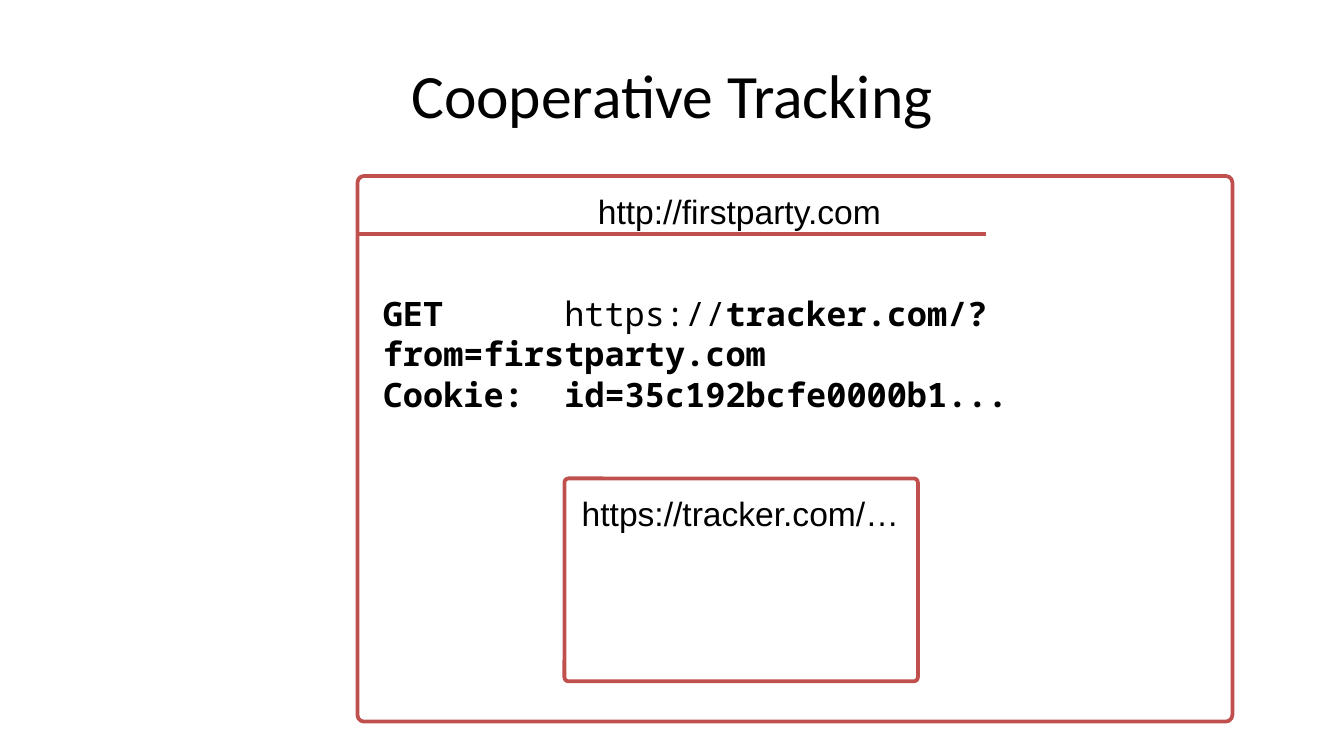
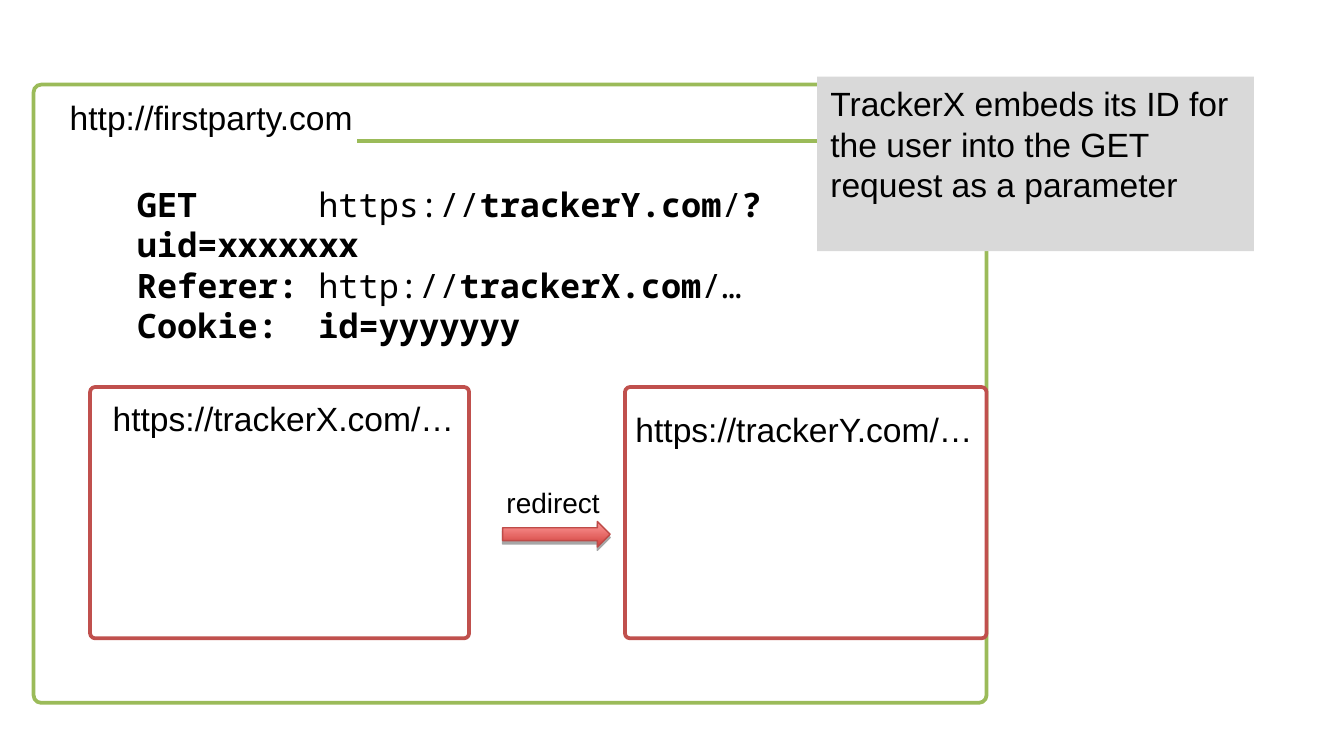
from dataclasses import dataclass

from lxml.etree import SubElement
from pptx import Presentation
from pptx.dml.color import RGBColor
from pptx.enum.shapes import MSO_CONNECTOR, MSO_SHAPE
from pptx.enum.text import MSO_ANCHOR, PP_ALIGN
from pptx.oxml.ns import qn
from pptx.util import Inches, Pt


@dataclass(frozen=True)
class Theme:
    text: str = "000000"
    paper: str = "FFFFFF"
    red: str = "C0504D"
    green: str = "9BBB59"
    callout: str = "D9D9D9"
    arrow_dark: str = "D1403C"
    arrow_light: str = "FF9A99"
    arrow_line: str = "BE4B48"
    title_font: str = "Calibri"
    body_font: str = "Arial"
    code_font: str = "Noto Sans Mono"
    title_size: float = 33
    body_size: float = 18
    small_size: float = 15
    leading: float = 1.2
    outline: float = 2
    header_tab: float = 1.35


THEME = Theme()
TITLE_ONLY, BLANK = 5, 6


def color(value):
    return RGBColor.from_string(value)


# Text
def write_text(shape, paragraphs, font=THEME.body_font, size=THEME.body_size,
               align=PP_ALIGN.LEFT, anchor=MSO_ANCHOR.TOP, wrap=True,
               leading=THEME.leading, tab=None):
    """Fill a shape; each paragraph is a list of (text, bold) runs."""
    frame = shape.text_frame
    frame.word_wrap = wrap
    frame.vertical_anchor = anchor
    for index, runs in enumerate(paragraphs):
        paragraph = frame.add_paragraph() if index else frame.paragraphs[0]
        paragraph.alignment = align
        if leading:
            paragraph.line_spacing = Pt(size * leading)
        if tab:
            tab_list = SubElement(paragraph._p.get_or_add_pPr(), qn("a:tabLst"))
            SubElement(tab_list, qn("a:tab"), pos=str(Inches(tab)), algn="l")
        for text, bold in runs:
            run = paragraph.add_run()
            run.text = text
            run.font.name = font
            run.font.size = Pt(size)
            run.font.bold = bold
            run.font.color.rgb = color(THEME.text)


def add_title(slide, text):
    title = slide.shapes.title
    title.left, title.top = Inches(0.5), Inches(0.23)
    title.width, title.height = Inches(9), Inches(0.94)
    write_text(title, [[(text, False)]], font=THEME.title_font,
               size=THEME.title_size, align=PP_ALIGN.CENTER,
               anchor=MSO_ANCHOR.MIDDLE, leading=None)


def add_label(slide, text, left, top, width, height=0.4, **text_format):
    label = slide.shapes.add_textbox(
        Inches(left), Inches(top), Inches(width), Inches(height))
    write_text(label, [[(text, False)]], wrap=False, **text_format)


def add_request(slide, headers, left, top, width):
    """Show HTTP headers, with their values lined up at a tab stop."""
    request = slide.shapes.add_textbox(
        Inches(left), Inches(top), Inches(width), Inches(0.94))
    paragraphs = [[(name + "\t", True), *value] for name, value in headers]
    write_text(request, paragraphs, font=THEME.code_font,
               anchor=MSO_ANCHOR.MIDDLE, tab=THEME.header_tab)


# Shapes
def add_shape(slide, kind, left, top, width, height):
    shape = slide.shapes.add_shape(
        kind, Inches(left), Inches(top), Inches(width), Inches(height))
    shape.shadow.inherit = False
    return shape


def add_frame(slide, left, top, width, height, line, corner=0.02):
    frame = add_shape(slide, MSO_SHAPE.ROUNDED_RECTANGLE, left, top, width, height)
    frame.adjustments[0] = corner
    frame.fill.solid()
    frame.fill.fore_color.rgb = color(THEME.paper)
    frame.line.color.rgb = color(line)
    frame.line.width = Pt(THEME.outline)


def add_address_line(slide, top, line):
    connector = slide.shapes.add_connector(
        MSO_CONNECTOR.STRAIGHT, Inches(2.66), Inches(top), Inches(7.34), Inches(top))
    connector.line.color.rgb = color(line)
    connector.line.width = Pt(THEME.outline)
    SubElement(connector._element.spPr, qn("a:effectLst"))


def add_redirect_arrow(slide, left, top, width, height):
    arrow = add_shape(slide, MSO_SHAPE.RIGHT_ARROW, left, top, width, height)
    arrow.fill.gradient()
    arrow.fill.gradient_angle = 90
    for stop, shade in zip(arrow.fill.gradient_stops,
                           (THEME.arrow_dark, THEME.arrow_light)):
        stop.color.rgb = color(shade)
    arrow.line.color.rgb = color(THEME.arrow_line)
    arrow.line.width = Pt(0.75)
    # Soft drop shadow straight below
    effects = arrow._element.spPr.find(qn("a:effectLst"))
    shadow = SubElement(effects, qn("a:outerShdw"), blurRad="0",
                        dist=str(Pt(1.8)), dir="5400000", rotWithShape="0")
    shade = SubElement(shadow, qn("a:srgbClr"), val=THEME.text)
    SubElement(shade, qn("a:alpha"), val="35000")


def add_callout(slide, text, left, top, width, height):
    callout = add_shape(slide, MSO_SHAPE.RECTANGLE, left, top, width, height)
    callout.fill.solid()
    callout.fill.fore_color.rgb = color(THEME.callout)
    callout.line.fill.background()
    write_text(callout, [[(text, False)]])


# Slides
def build_cooperative_tracking(presentation):
    slide = presentation.slides.add_slide(presentation.slide_layouts[TITLE_ONLY])
    add_title(slide, "Cooperative Tracking")

    # First-party page with the tracker's frame
    add_frame(slide, 2.66, 1.31, 6.51, 4.06, THEME.red, corner=0.012)
    add_frame(slide, 4.2, 3.56, 2.63, 1.51, THEME.red)
    add_label(slide, "http://firstparty.com", 4.35, 1.37, 2.32)
    add_address_line(slide, 1.74, THEME.red)
    add_label(slide, "https://tracker.com/…", 4.23, 3.62, 2.57)

    add_request(slide, [
        ("GET", [("https://", False), ("tracker.com/?from=firstparty.com", True)]),
        ("Cookie:", [("id=35c192bcfe0000b1...", True)]),
    ], 2.75, 2.16, 6.01)


def build_redirect(presentation):
    slide = presentation.slides.add_slide(presentation.slide_layouts[BLANK])

    # First-party page
    add_frame(slide, 0.25, 0.63, 7.09, 4.6, THEME.green, corner=0.012)
    add_label(slide, "http://firstparty.com", 0.42, 0.67, 2.32)
    add_address_line(slide, 1.05, THEME.green)

    # The two tracker frames and the redirect between them
    add_frame(slide, 0.67, 2.88, 2.82, 1.87, THEME.red)
    add_label(slide, "https://trackerX.com/…", 0.74, 2.91, 2.74)
    add_frame(slide, 4.65, 2.88, 2.69, 1.87, THEME.red)
    add_label(slide, "https://trackerY.com/…", 4.63, 2.99, 2.74)
    add_redirect_arrow(slide, 3.74, 3.88, 0.8, 0.19)
    add_label(slide, "redirect", 3.64, 3.31, 0.95, 0.6, size=THEME.small_size,
              align=PP_ALIGN.CENTER, anchor=MSO_ANCHOR.BOTTOM)

    add_request(slide, [
        ("GET", [("https://", False), ("trackerY.com", True), ("/", False),
                 ("?uid=xxxxxxx", True)]),
        ("Referer:", [("http://", False), ("trackerX.com", True), ("/…", False)]),
        ("Cookie:", [("id=yyyyyyy", True)]),
    ], 0.92, 1.5, 5.79)
    add_callout(slide, "TrackerX embeds its ID for the user into the GET "
                "request as a parameter", 6.08, 0.57, 3.25, 1.3)


def main():
    presentation = Presentation()
    # Widescreen, 16:9
    presentation.slide_width = Inches(10)
    presentation.slide_height = Inches(10) * 9 // 16
    build_cooperative_tracking(presentation)
    build_redirect(presentation)
    presentation.save("out.pptx")


if __name__ == "__main__":
    main()
